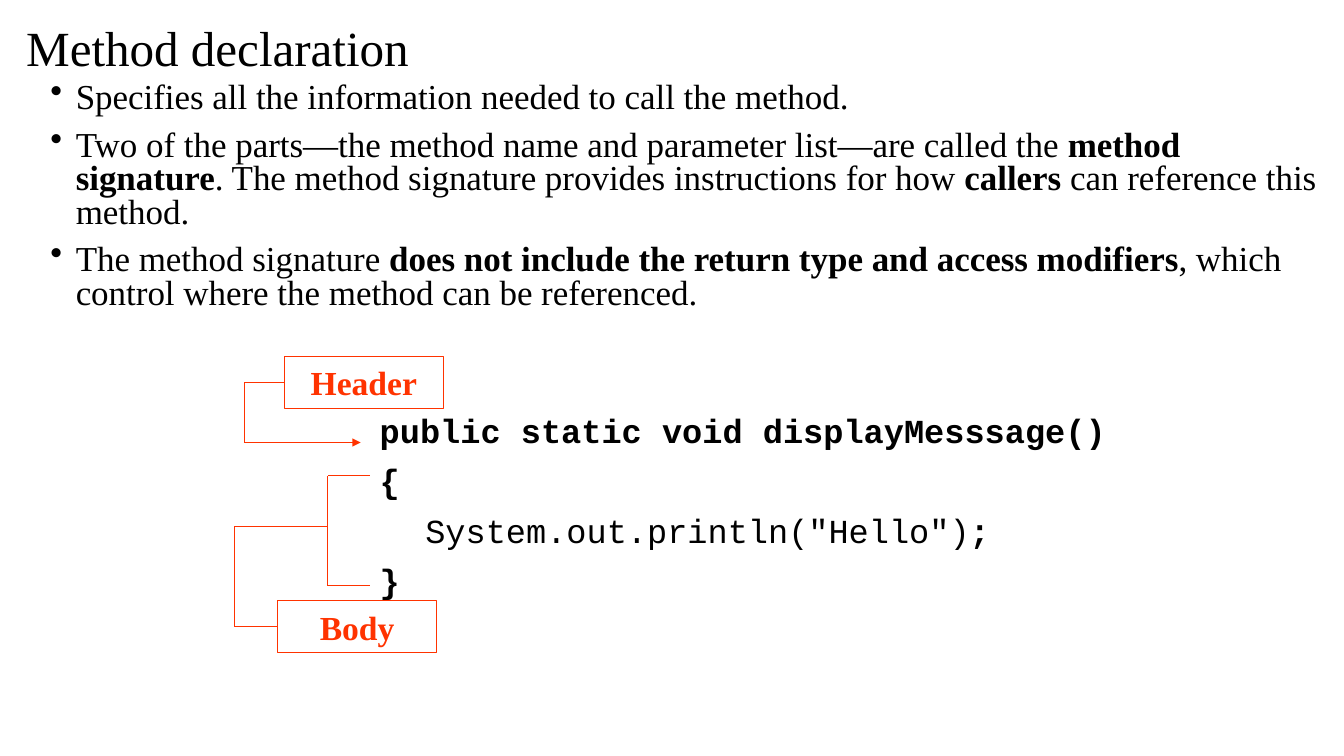
from itertools import pairwise

from lxml.etree import SubElement
from pptx import Presentation
from pptx.dml.color import RGBColor
from pptx.enum.shapes import MSO_CONNECTOR, MSO_SHAPE
from pptx.enum.text import MSO_ANCHOR, PP_ALIGN
from pptx.oxml.ns import qn
from pptx.util import Cm, Pt

BLACK = RGBColor(0x00, 0x00, 0x00)
RED = RGBColor(0xFF, 0x33, 0x00)
SERIF = "Times New Roman"
MONO = "Courier New"
LEFT_SIDE = 1


def add_runs(paragraph, runs, color, **font_format):
    """Append (text, bold) runs that share one font format."""
    for text, bold in runs:
        run = paragraph.add_run()
        run.text = text
        for name, value in {**font_format, "bold": bold}.items():
            setattr(run.font, name, value)
        run.font.color.rgb = color


def add_paragraphs(frame, contents, spacing, bullet, **font_format):
    """Fill a text frame with hanging paragraphs, each a list of runs."""
    frame.word_wrap = True
    for index, runs in enumerate(contents):
        paragraph = frame.add_paragraph() if index else frame.paragraphs[0]
        properties = paragraph._p.get_or_add_pPr()
        properties.set("marL", str(Cm(0.64)))
        properties.set("indent", str(-Cm(0.64)))
        if bullet:
            SubElement(properties, qn("a:buChar")).set("char", bullet)
        paragraph.line_spacing = spacing
        paragraph.space_before = Pt(10 if index else 0)
        add_runs(paragraph, runs, BLACK, **font_format)


presentation = Presentation()
presentation.slide_width = Cm(33.87)
presentation.slide_height = Cm(19.05)
slide = presentation.slides.add_slide(presentation.slide_layouts[6])
shapes = slide.shapes

# Title
title = shapes.add_textbox(Cm(0.41), Cm(0.38), Cm(33.12), Cm(1.8)).text_frame
title.word_wrap = True
title.vertical_anchor = MSO_ANCHOR.MIDDLE
title.paragraphs[0].line_spacing = 0.9
add_runs(title.paragraphs[0], [("Method declaration", False)], BLACK,
         name=SERIF, size=Pt(35.1))

# Explanation
explanation = shapes.add_textbox(Cm(1.02), Cm(1.96), Cm(32.87), Cm(15.8))
points = [
    [("Specifies all the information needed to call the method.", False)],
    [("Two of the parts—the method name and parameter list—are called the ", False),
     ("method signature", True),
     (". The method signature provides instructions for how ", False),
     ("callers", True),
     (" can reference this method.", False)],
    [("The method signature ", False),
     ("does not include the return type and access modifiers", True),
     (", which control where the method can be referenced.", False)],
]
add_paragraphs(explanation.text_frame, points, 0.8, "•", name=SERIF, size=Pt(25))

# Code sample
code = shapes.add_textbox(Cm(9.32), Cm(10.31), Cm(19.25), Cm(5.92))
code_lines = [
    [("public static void displayMesssage()", True)],
    [("{", True)],
    [("\t System.out.println(\"Hello\")", False), (";", True)],
    [("}", True)],
]
add_paragraphs(code.text_frame, code_lines, 0.9, None, name=MONO, size=Pt(24))

# Labels of the two method parts
labels = {}
for part, left, top in [("Header", 7.16, 8.99), ("Body", 6.99, 15.14)]:
    label = shapes.add_shape(MSO_SHAPE.RECTANGLE, Cm(left), Cm(top), Cm(4.02), Cm(1.3))
    label.shadow.inherit = False
    label.fill.background()
    label.line.color.rgb = RED
    label.line.width = Pt(0.75)
    label.text_frame.vertical_anchor = MSO_ANCHOR.MIDDLE
    label.text_frame.paragraphs[0].alignment = PP_ALIGN.CENTER
    add_runs(label.text_frame.paragraphs[0], [(part, True)], RED, name=SERIF, size=Pt(24))
    labels[part] = label

# Lines from each label to its part of the code: (label, corners, arrowhead)
routes = [
    (None, [(9.32, 11.99), (8.26, 11.99), (8.26, 14.76), (9.32, 14.76)], False),
    ("Body", [(6.99, 15.79), (5.92, 15.79), (5.92, 13.26), (8.26, 13.26)], False),
    ("Header", [(7.16, 9.64), (6.15, 9.64), (6.15, 11.15), (9.09, 11.15)], True),
]
for part, corners, arrowhead in routes:
    for index, (start, end) in enumerate(pairwise(corners)):
        line = shapes.add_connector(MSO_CONNECTOR.STRAIGHT, *map(Cm, start + end))
        line.line.color.rgb = RED
        line.line.width = Pt(0.75)
        SubElement(line._element.spPr, qn("a:effectLst"))
        if part and index == 0:
            line.begin_connect(labels[part], LEFT_SIDE)
    if arrowhead:
        SubElement(line.line._get_or_add_ln(), qn("a:tailEnd")).set("type", "triangle")

presentation.save("out.pptx")
